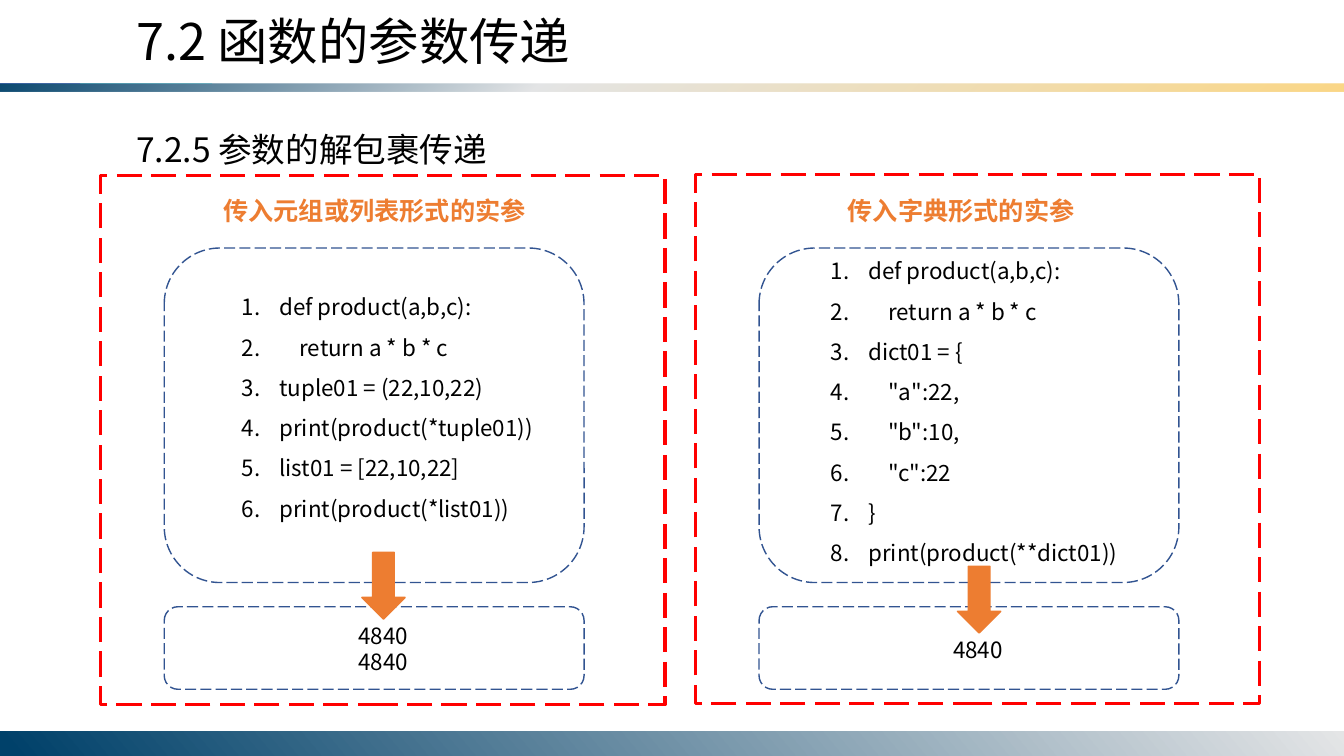
import pptx
import pptx.dml.color
import pptx.enum.dml
import pptx.enum.shapes
import pptx.enum.text
import pptx.oxml
import pptx.oxml.ns
import pptx.util
from lxml import etree

Cm, Pt = pptx.util.Cm, pptx.util.Pt
Kind = pptx.enum.shapes.MSO_SHAPE
Align = pptx.enum.text.PP_ALIGN
HUES = {"ink": "000000", "red": "FF0000", "edge": "325491", "accent": "ED7D31",
        "navy": "00416A", "gray": "E4E5E6", "gold": "FBD786"}

PANELS = [
    {"left": 2.54, "top": 4.42, "head": ("传入元组或列表形式的实参", 3.94),
     "code": ["def product(a,b,c):", "    return a * b * c", "tuple01 = (22,10,22)",
              "print(product(*tuple01))", "list01 = [22,10,22]",
              "print(product(*list01))"],
     "list": (5.84, 6.93, 7.92, 6.4), "out": ("4840\n4840", 15.54, 1.63),
     "arrow": (9.12, 13.92)},
    {"left": 17.53, "top": 4.39, "head": ("传入字典形式的实参", 18.72),
     "code": ["def product(a,b,c):", "    return a * b * c", "dict01 = {",
              '    "a":22,', '    "b":10,', '    "c":22', "}",
              "print(product(**dict01))"],
     "list": (20.68, 6.02, 7.92, 8.46), "out": ("4840", 15.9, 0.94),
     "arrow": (24.13, 14.27)},
]


class Deck:
    """Hold the style and the current slide, and draw each kind of element."""

    face = "Noto Sans CJK SC"

    def __init__(self):
        self.file = pptx.Presentation()
        self.file.slide_width = Cm(33.87)
        self.file.slide_height = Cm(19.05)
        self.slide = self.file.slides.add_slide(self.file.slide_layouts[3])
        self.holds = list(self.slide.placeholders)

    def hue(self, name):
        return pptx.dml.color.RGBColor.from_string(HUES[name])

    def letter(self, shape, text, size, hue="ink", bold=False, align=Align.LEFT, gap=1.0):
        frame = shape.text_frame
        frame.text = text
        frame.word_wrap = True
        frame.auto_size = pptx.enum.text.MSO_AUTO_SIZE.NONE
        frame.vertical_anchor = pptx.enum.text.MSO_ANCHOR.TOP
        for para in frame.paragraphs:
            para.alignment = align
            para.line_spacing = gap
            para.space_before = Pt(0)
            for run in para.runs:
                font = run.font
                font.size, font.bold = Pt(size), bold
                font.color.rgb = self.hue(hue)
                font.name = self.face
                east = etree.SubElement(font._element, pptx.oxml.ns.qn("a:ea"))
                east.set("typeface", self.face)

    def place(self, shape, box):
        shape.left, shape.top, shape.width, shape.height = map(Cm, box)

    def title(self, text, box):
        self.place(self.holds[0], box)
        self.letter(self.holds[0], text, 36)

    def label(self, text, box, size, **style):
        self.letter(self.slide.shapes.add_textbox(*map(Cm, box)), text, size, **style)

    def code(self, hold, lines, box):
        self.place(hold, box)
        self.letter(hold, "\n".join(lines), 16, gap=1.5)
        for para in hold.text_frame.paragraphs:
            props = para._p.get_or_add_pPr()
            props.set("marL", str(Cm(0.95)))
            props.set("indent", str(-Cm(0.95)))
            mark = etree.SubElement(props, pptx.oxml.ns.qn("a:buFont"))
            mark.set("typeface", "+mj-lt")
            mark = etree.SubElement(props, pptx.oxml.ns.qn("a:buAutoNum"))
            mark.set("type", "arabicPeriod")

    def shape(self, kind, box, line=None, width=1, fill=None, dash=False):
        shape = self.slide.shapes.add_shape(kind, *map(Cm, box))
        shape.shadow.inherit = False
        if fill:
            shape.fill.solid()
            shape.fill.fore_color.rgb = self.hue(fill)
        else:
            shape.fill.background()
        if line:
            shape.line.color.rgb = self.hue(line)
            shape.line.width = Pt(width)
        else:
            shape.line.fill.background()
        if dash:
            shape.line.dash_style = pptx.enum.dml.MSO_LINE.LONG_DASH
        return shape

    def band(self, box, stops, angle):
        shape = self.shape(Kind.RECTANGLE, box)
        shape.fill.gradient()
        grad = shape._element.spPr.find(pptx.oxml.ns.qn("a:gradFill"))
        rows = "".join(
            f'<a:gs pos="{pos * 1000}"><a:srgbClr val="{HUES[name]}">'
            f'<a:alpha val="{alpha * 1000}"/></a:srgbClr></a:gs>'
            for pos, name, alpha in stops)
        fresh = pptx.oxml.parse_xml(
            f'<a:gradFill {pptx.oxml.ns.nsdecls("a")}><a:gsLst>{rows}</a:gsLst>'
            f'<a:lin ang="{angle * 60000}" scaled="0"/></a:gradFill>')
        grad.getparent().replace(grad, fresh)

    def panel(self, hold, data):
        self.shape(Kind.RECTANGLE, (data["left"], data["top"], 14.22, 13.34),
                   "red", 2.25, dash=True)
        side = data["left"] + 1.6
        for top, height in ((6.25, 8.43), (15.29, 2.08)):
            self.shape(Kind.ROUNDED_RECTANGLE, (side, top, 10.58, height),
                       "edge", dash=True)
        self.code(hold, data["code"], data["list"])
        text, top, height = data["out"]
        self.label(text, (data["left"] + 3, top, 8.23, height), 16, align=Align.CENTER)
        text, left = data["head"]
        self.label(text, (left, 4.42, 11, 1.4), 18, hue="accent", bold=True,
                   align=Align.CENTER, gap=1.5)
        self.shape(Kind.DOWN_ARROW, (*data["arrow"], 1.09, 1.68), "accent", fill="accent")


def main():
    deck = Deck()
    deck.band((0, 2.1, 33.87, 0.21),
              [(0, "navy", 95), (40, "gray", 100), (100, "gold", 100)], 50)
    deck.band((0, 18.43, 33.87, 0.62), [(0, "gray", 100), (99, "navy", 100)], 140)
    deck.title("7.2 函数的参数传递", (3.18, 0.13, 15.54, 1.8))
    deck.label("7.2.5 参数的解包裹传递", (3.18, 3.12, 10.5, 1.27), 24)
    for hold, data in zip(deck.holds[1:3], PANELS):
        deck.panel(hold, data)
    for hold in deck.holds[3:]:
        hold._element.getparent().remove(hold._element)
    deck.file.save("out.pptx")


if __name__ == "__main__":
    main()
